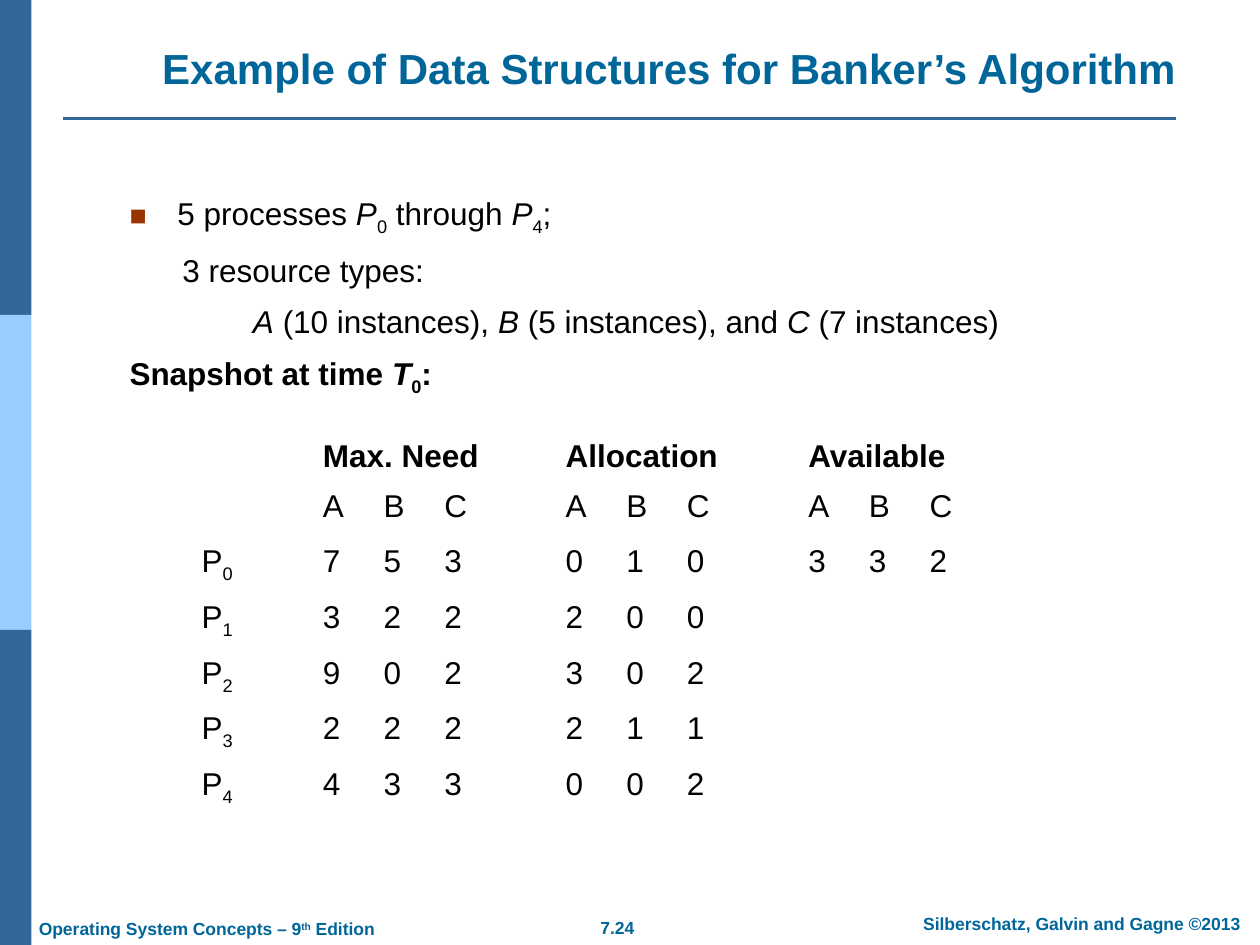
from lxml.etree import SubElement
from pptx import Presentation
from pptx.dml.color import RGBColor
from pptx.enum.shapes import MSO_CONNECTOR, MSO_SHAPE
from pptx.enum.text import MSO_ANCHOR, PP_ALIGN
from pptx.oxml.ns import qn
from pptx.util import Inches, Pt

BLUE, SKY, TEAL, RUST, BLACK, WHITE = (
    "336699", "99CCFF", "006699", "993300", "000000", "FFFFFF")
BODY = {"size": Pt(18), "name": "Arial"}
TITLE = {"size": Pt(24), "name": "Arial", "bold": True}
FOOT = {"size": Pt(10), "name": "Arial", "bold": True}
SHIFT = {"_": "-25000", "^": "30000"}


def color(code):
    return RGBColor.from_string(code)


def write(para, runs, form, ink):
    """Each run is (text, marks): b bold, i italic, _ subscript, ^ superscript."""
    for text, marks in runs:
        run = para.add_run()
        run.text = text
        for key, value in form.items():
            setattr(run.font, key, value)
        run.font.color.rgb = color(ink)
        if "b" in marks:
            run.font.bold = True
        if "i" in marks:
            run.font.italic = True
        for mark in SHIFT.keys() & set(marks):
            run._r.get_or_add_rPr().set("baseline", SHIFT[mark])


def add_box(slide, box):
    frame = slide.shapes.add_textbox(*map(Inches, box)).text_frame
    frame.word_wrap = True
    return frame


def add_bar(slide, left, top, width, height):
    # Side bar in three equal blocks
    step = height / 3
    for row, fill in enumerate((BLUE, SKY, BLUE)):
        block = slide.shapes.add_shape(
            MSO_SHAPE.RECTANGLE, Inches(left), Inches(top + row * step),
            Inches(width), Inches(step))
        block.shadow.inherit = False
        block.fill.solid()
        block.fill.fore_color.rgb = color(fill)
        block.line.fill.background()


def add_title(slide, box):
    frame = add_box(slide, box)
    frame.vertical_anchor = MSO_ANCHOR.BOTTOM
    para = frame.paragraphs[0]
    para.alignment = PP_ALIGN.CENTER
    write(para, [("Example of Data Structures for Banker’s Algorithm", "")],
          TITLE, TEAL)


def add_rule(slide, left, top, width):
    rule = slide.shapes.add_connector(
        MSO_CONNECTOR.STRAIGHT, Inches(left), Inches(top),
        Inches(left + width), Inches(top))
    rule.line.color.rgb = color(BLUE)
    rule.line.width = Pt(1.5)
    SubElement(rule._element.spPr, qn("a:effectLst"))


def add_bullet(para):
    props = para._p.get_or_add_pPr()
    ink = SubElement(props, qn("a:buClr"))
    SubElement(ink, qn("a:srgbClr"), val=RUST)
    SubElement(props, qn("a:buSzPct"), val="90000")
    SubElement(props, qn("a:buFont"), typeface="Arial")
    SubElement(props, qn("a:buChar"), char="■")


def add_body(slide, box):
    # Each line: left margin, first-line indent, runs
    lines = [
        (0.38, -0.38, [("5 processes ", ""), ("P", "i"), ("0", "_"),
                       (" through ", ""), ("P", "i"), ("4", "_"), (";", "")]),
        (0.42, 0, [("3 resource types:", "")]),
        (0.98, 0, [("A", "i"), (" (10 instances), ", ""), ("B", "i"),
                   (" (5 instances), and ", ""), ("C", "i"),
                   (" (7 instances)", "")]),
        (0, 0, [("Snapshot at time ", "b"), ("T", "bi"), ("0", "b_"),
                (":", "b")]),
    ]
    frame = add_box(slide, box)
    for row, (margin, indent, runs) in enumerate(lines):
        para = frame.add_paragraph() if row else frame.paragraphs[0]
        props = para._p.get_or_add_pPr()
        props.set("marL", str(Inches(margin)))
        props.set("indent", str(Inches(indent)))
        if row:
            para.space_before = Pt(7.9)
        else:
            add_bullet(para)
        write(para, runs, BODY, BLACK)


def add_edges(cell, row):
    # White borders, heavier under the header row
    props = cell._tc.get_or_add_tcPr()
    heavy = {0: "B", 1: "T"}.get(row)
    for side in "LRTB":
        width = Pt(1.47 if side == heavy else 0.45)
        edge = SubElement(props, qn(f"a:ln{side}"), w=str(width))
        fill = SubElement(edge, qn("a:solidFill"))
        SubElement(fill, qn("a:srgbClr"), val=WHITE)


def add_grid(slide, left, top, width):
    # Three groups of three columns, a gap before each later group
    groups = {
        "Max. Need": ["753", "322", "902", "222", "433"],
        "Allocation": ["010", "200", "302", "211", "002"],
        "Available": ["332"],
    }
    highs = [0.4] + [0.44] * 6
    grid = slide.shapes.add_table(
        7, 13, Inches(left), Inches(top), Inches(width),
        Inches(sum(highs))).table
    grid.first_row = grid.horz_banding = False
    for row, high in zip(grid.rows, highs):
        row.height = Inches(high)
    for col in grid.columns:
        col.width = Inches(width / 13)
    for row in range(7):
        for col in range(13):
            cell = grid.cell(row, col)
            add_edges(cell, row)
            cell.fill.background()

    def put(row, col, runs):
        write(grid.cell(row, col).text_frame.paragraphs[0], runs, BODY, BLACK)

    for num in range(5):
        put(num + 2, 0, [("P", ""), (str(num), "_")])
    for place, (name, values) in enumerate(groups.items()):
        start = 2 + 4 * place
        grid.cell(0, start).merge(grid.cell(0, start + 2))
        put(0, start, [(name, "b")])
        for row, digits in enumerate(["ABC"] + values, 1):
            for col, digit in enumerate(digits, start):
                put(row, col, [(digit, "")])


def add_foot(slide, box, runs, align):
    para = add_box(slide, box).paragraphs[0]
    para.alignment = align
    write(para, runs, FOOT, TEAL)


def main():
    deck = Presentation()
    deck.slide_width, deck.slide_height = Inches(10), Inches(7.5)
    slide = deck.slides.add_slide(deck.slide_layouts[6])
    add_bar(slide, 0, 0, 0.25, 7.5)
    add_rule(slide, 0.5, 0.94, 8.83)
    # Footer
    add_foot(slide, (4.41, 7.23, 0.98, 0.27), [("7.24", "")], PP_ALIGN.CENTER)
    add_foot(slide, (7.1, 7.2, 2.97, 0.27),
             [("Silberschatz, Galvin and Gagne ©2013", "")], PP_ALIGN.CENTER)
    add_foot(slide, (0.21, 7.24, 3.1, 0.27),
             [("Operating System Concepts – 9", ""), ("th", "^"),
              (" Edition", "")], PP_ALIGN.LEFT)
    # Content
    add_title(slide, (1.12, 0.16, 8.38, 0.63))
    add_body(slide, (0.93, 1.49, 8.66, 4.97))
    add_grid(slide, 1.5, 3.43, 6.26)
    deck.save("out.pptx")


if __name__ == "__main__":
    main()
